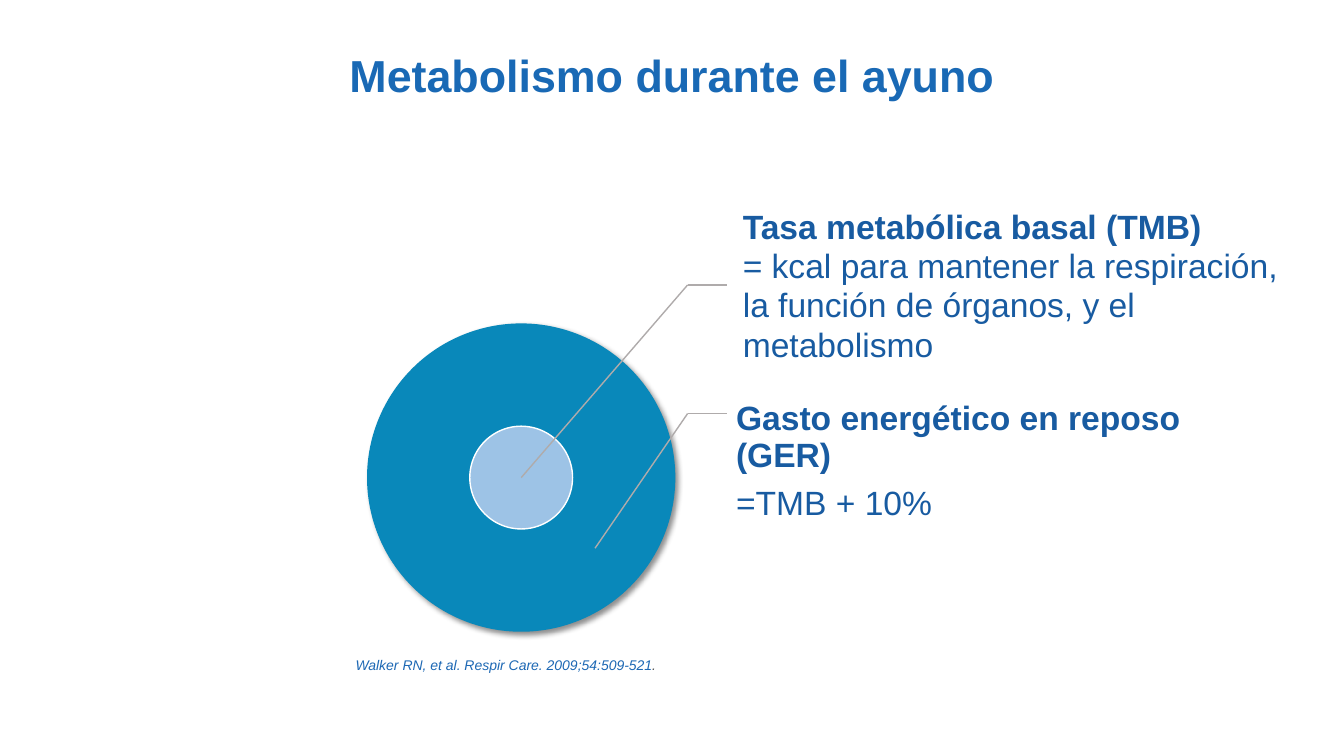
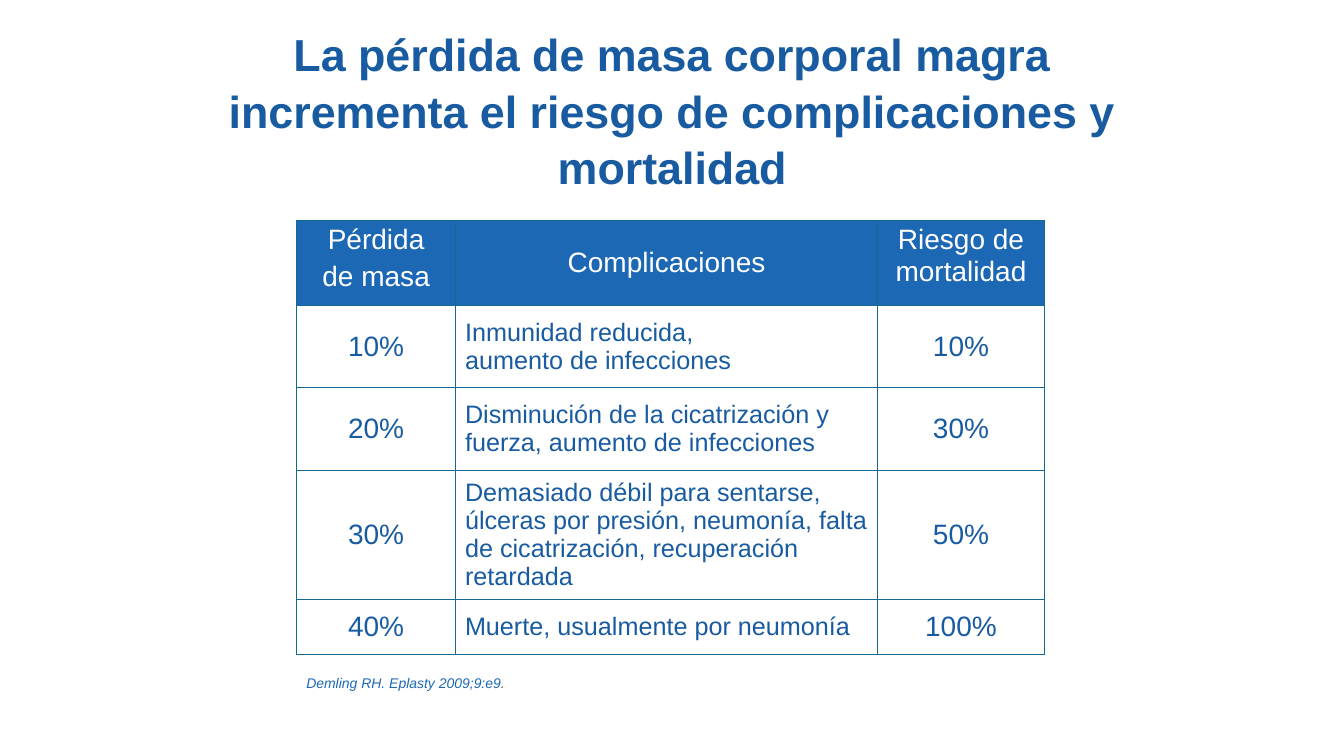
from lxml.etree import SubElement as Sub
from pptx import Presentation
from pptx.dml.color import RGBColor as Rgb
from pptx.enum.shapes import MSO_CONNECTOR as Link, MSO_SHAPE as Form
from pptx.enum.text import MSO_ANCHOR as Anchor, PP_ALIGN as Align
from pptx.oxml.ns import qn
from pptx.util import Cm, Pt

FONT = "Arial"
HUES = {
    "title": "1969B5", "text": "185BA1", "band": "1D68B4", "dot": "595959",
    "outer": "0988BA", "inner": "9DC3E6", "line": "AFABAB",
    "edge": "146891", "white": "FFFFFF", "shade": "000000",
}


def hue(name):
    return Rgb.from_string(HUES[name])


def write(frame, paras, size=24, color="text", bold=False, italic=False,
          align=Align.LEFT, lead=None, before=0, after=0):
    """Each paragraph is a string or a list of (text, changes) runs."""
    frame.word_wrap = True
    for i, runs in enumerate(paras):
        para = frame.paragraphs[0] if i == 0 else frame.add_paragraph()
        para.alignment = align
        para.space_before = Pt(before if i else 0)
        para.space_after = Pt(after)
        if lead:
            para.line_spacing = lead
        for words, diff in [(runs, {})] if isinstance(runs, str) else runs:
            look = {"color": color, "bold": bold} | diff
            for j, part in enumerate(words.split("\n")):
                if j:
                    para.add_line_break()
                run = para.add_run()
                run.text = part
                font = run.font
                font.name, font.size = FONT, Pt(size)
                font.bold, font.italic = look["bold"], italic
                font.color.rgb = hue(look["color"])


def label(slide, box, paras, anchor=Anchor.TOP, inset=0.25, **fmt):
    frame = slide.shapes.add_textbox(*map(Cm, box)).text_frame
    frame.margin_left = Cm(inset)
    frame.vertical_anchor = anchor
    write(frame, paras, **fmt)


def title(slide, box, words, **fmt):
    label(slide, box, [words], Anchor.MIDDLE, size=32, bold=True,
          align=Align.CENTER, **fmt)


def source(slide, box, words):
    label(slide, box, [[(words, {}), (".", {"color": "dot"})]],
          size=10, color="band", italic=True)


def disc(slide, x, y, rad, fill, line=None):
    box = map(Cm, (x - rad, y - rad, 2 * rad, 2 * rad))
    disk = slide.shapes.add_shape(Form.OVAL, *box)
    disk.shadow.inherit = False
    disk.fill.solid()
    disk.fill.fore_color.rgb = hue(fill)
    if line:
        disk.line.color.rgb = hue(line)
        disk.line.width = Pt(1)
    else:
        disk.line.fill.background()
    return disk


def shade(shape):
    list_ = shape._element.spPr.find(qn("a:effectLst"))
    drop = Sub(list_, qn("a:outerShdw"), blurRad=str(Pt(4)), dist=str(Pt(3)),
               dir=str(45 * 60000), algn="tl", rotWithShape="0")
    tone = Sub(drop, qn("a:srgbClr"), val=HUES["shade"])
    Sub(tone, qn("a:alpha"), val="43000")


def leader(slide, bend, tip, arm=1):
    """Short level arm to the right of the bend, slanted line to the tip."""
    for end in ((bend[0] + arm, bend[1]), tip):
        line = slide.shapes.add_connector(Link.STRAIGHT, *map(Cm, bend + end))
        line.line.color.rgb = hue("line")
        line.line.width = Pt(1)
        Sub(line._element.spPr, qn("a:effectLst"))


def target(slide, left, top, size):
    rad = size / 2
    x, y = left + rad, top + rad
    shade(disc(slide, x, y, rad, "outer"))
    disc(slide, x, y, rad / 3, "inner", "white")
    bend = left + 8.08
    leader(slide, (bend, top - 0.97), (x, y))
    leader(slide, (bend, top + 2.27), (x + 1.86, y + 1.78))


def edge(cell):
    props = cell._tc.get_or_add_tcPr()
    for i, side in enumerate(("lnL", "lnR", "lnT", "lnB")):
        line = props.makeelement(qn("a:" + side), {"w": str(Pt(1))})
        fill = Sub(line, qn("a:solidFill"))
        Sub(fill, qn("a:srgbClr"), val=HUES["edge"])
        props.insert(i, line)


def grid(slide, left, top, cols, rows, data):
    box = map(Cm, (left, top, sum(cols), sum(rows)))
    table = slide.shapes.add_table(len(rows), len(cols), *box).table
    table.first_row = table.horz_banding = False
    for col, width in zip(table.columns, cols):
        col.width = Cm(width)
    for r, (row, high) in enumerate(zip(data, rows)):
        table.rows[r].height = Cm(high)
        for c, words in enumerate(row):
            cell = table.cell(r, c)
            head, mid = r == 0, c == 1
            cell.margin_left = cell.margin_right = Cm(0.23)
            cell.margin_top = cell.margin_bottom = Cm(0.1)
            cell.vertical_anchor = Anchor.TOP if head and not mid else Anchor.MIDDLE
            if head:
                cell.fill.solid()
                cell.fill.fore_color.rgb = hue("band")
            else:
                cell.fill.background()
            edge(cell)
            prose = mid and not head
            write(cell.text_frame, words.split("\n"),
                  size=18 if prose else 20,
                  color="white" if head else "text",
                  align=Align.LEFT if prose else Align.CENTER,
                  before=4 if head else 0)


def fasting(slide):
    title(slide, (5.79, 0.91, 22.3, 2.13), "Metabolismo durante el ayuno",
          color="title", lead=0.9)
    target(slide, 9.25, 8.15, 7.77)
    label(slide, (18.24, 5.03, 14.6, 4.32), [[
        ("Tasa metabólica basal (TMB)\n", {"bold": True}),
        ("= kcal para mantener la respiración,\n"
         "la función de órganos, y el metabolismo", {})]],
        Anchor.MIDDLE, inset=0.48, lead=Pt(28))
    label(slide, (18.14, 10.03, 12.06, 3.23), [
        [("Gasto energético en reposo (GER)", {"bold": True})],
        "=TMB + 10%"],
        Anchor.MIDDLE, inset=0.41, lead=0.9, after=8.4)
    source(slide, (8.71, 16.43, 19.05, 0.64),
           "Walker RN, et al. Respir Care. 2009;54:509-521")


def losses(slide):
    title(slide, (4.88, 0.94, 24.13, 3.61),
          "La pérdida de masa corporal magra incrementa el riesgo de "
          "complicaciones y mortalidad", lead=1.05)
    grid(slide, 7.47, 5.56, (4.02, 10.62, 4.22), (2.13, 2.08, 2.08, 3.05, 1.4), (
        ("Pérdida\nde masa", "Complicaciones", "Riesgo de mortalidad"),
        ("10%", "Inmunidad reducida,\naumento de infecciones", "10%"),
        ("20%", "Disminución de la cicatrización y\n"
                "fuerza, aumento de infecciones", "30%"),
        ("30%", "Demasiado débil para sentarse, úlceras por presión, neumonía, "
                "falta de cicatrización, recuperación retardada", "50%"),
        ("40%", "Muerte, usualmente por neumonía", "100%")))
    source(slide, (7.47, 16.87, 14.81, 0.69), "Demling RH. Eplasty 2009;9:e9")


def main():
    deck = Presentation()
    deck.slide_width, deck.slide_height = Cm(33.87), Cm(19.05)
    for build in (fasting, losses):
        build(deck.slides.add_slide(deck.slide_layouts[6]))
    deck.save("out.pptx")


if __name__ == "__main__":
    main()
